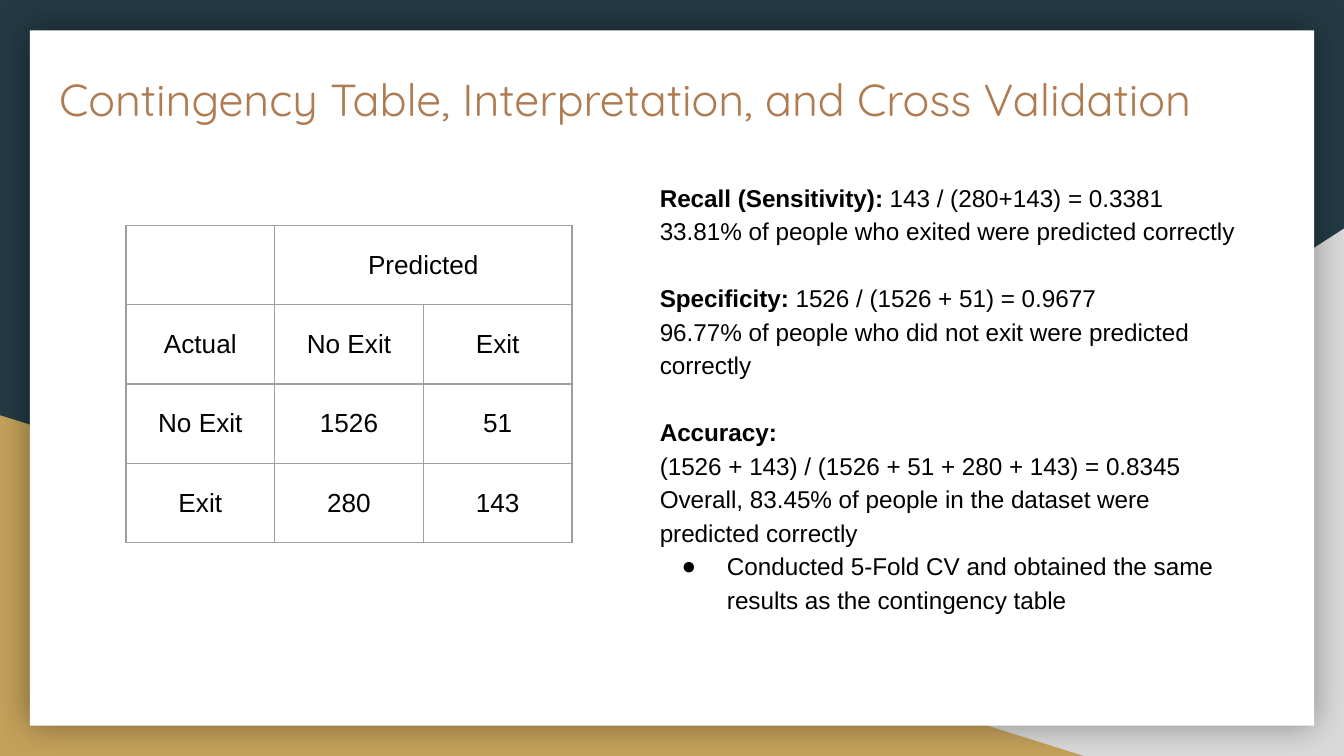
import dataclasses

import lxml.etree
import pptx
import pptx.dml.color
import pptx.enum.shapes
import pptx.enum.text
import pptx.oxml
import pptx.oxml.ns
import pptx.util

Pt = pptx.util.Pt
SHAPES = pptx.enum.shapes.MSO_SHAPE
ALIGN = pptx.enum.text.PP_ALIGN
ANCHOR = pptx.enum.text.MSO_ANCHOR


@dataclasses.dataclass(frozen=True)
class Theme:
    background: str = "233A44"
    gray: str = "D9D9D9"
    gold: str = "C4A15A"
    panel: str = "FFFFFF"
    heading: str = "AF7B51"
    text: str = "000000"
    border: str = "9E9E9E"
    heading_font: str = "Quicksand"
    body_font: str = "Arial"
    heading_size: float = 24
    body_size: float = 13
    table_size: float = 14
    inset: float = 7.2


def rgb(color):
    return pptx.dml.color.RGBColor.from_string(color)


def add_xml(parent, xml):
    namespaces = pptx.oxml.ns.nsdecls("a")
    tag, rest = xml[1:].split(" ", 1)
    parent.append(pptx.oxml.parse_xml(f"<{tag} {namespaces} {rest}"))


class SlideBuilder:
    """Draw styled elements on the current slide, with lengths in points."""

    def __init__(self, theme, slide):
        self.theme = theme
        self.slide = slide
        slide.background.fill.solid()
        slide.background.fill.fore_color.rgb = rgb(theme.background)

    def style_font(self, font, name, size, color):
        font.name, font.size = name, Pt(size)
        font.color.rgb = rgb(color)

    def block(self, kind, box, color, flip=False, glow=False):
        shape = self.slide.shapes.add_shape(kind, *map(Pt, box))
        shape.shadow.inherit = False
        shape.fill.solid()
        shape.fill.fore_color.rgb = rgb(color)
        shape.line.fill.background()
        if flip:
            shape._element.spPr.xfrm.set("flipH", "1")
        if glow:
            effects = shape._element.spPr.find(pptx.oxml.ns.qn("a:effectLst"))
            add_xml(effects, f'<a:outerShdw blurRad="{Pt(18)}" dist="0" algn="ctr" rotWithShape="0">'
                    '<a:srgbClr val="000000"><a:alpha val="40000"/></a:srgbClr></a:outerShdw>')

    def placeholder(self, index, box):
        shape = self.slide.placeholders[index]
        shape.left, shape.top, shape.width, shape.height = map(Pt, box)
        self.slide.shapes._spTree.append(shape._element)
        frame = shape.text_frame
        frame.word_wrap = True
        frame.auto_size = pptx.enum.text.MSO_AUTO_SIZE.NONE
        frame.vertical_anchor = ANCHOR.TOP
        frame.margin_left = frame.margin_right = Pt(self.theme.inset)
        frame.margin_top = frame.margin_bottom = Pt(self.theme.inset)
        return frame

    def title(self, text, box):
        paragraph = self.placeholder(0, box).paragraphs[0]
        paragraph.text = text
        paragraph.alignment = ALIGN.LEFT
        self.style_font(paragraph.font, self.theme.heading_font,
                        self.theme.heading_size, self.theme.heading)

    def body(self, sections, bullet, box, gap):
        frame = self.placeholder(1, box)
        paragraph = frame.paragraphs[0]
        for number, (label, *lines) in enumerate(sections):
            if number:
                paragraph = frame.add_paragraph()
            self.body_paragraph(paragraph, lines[0], label, before=gap if number else 0)
            for line in lines[1:]:
                self.body_paragraph(frame.add_paragraph(), line)
        self.body_paragraph(frame.add_paragraph(), bullet, bulleted=True)

    def body_paragraph(self, paragraph, text, label="", before=0, bulleted=False):
        properties = paragraph._p.get_or_add_pPr()
        properties.set("marL", str(Pt(36 if bulleted else 0)))
        properties.set("indent", str(Pt(-24.25 if bulleted else 0)))
        add_xml(properties, '<a:buChar char="●"/>' if bulleted else "<a:buNone />")
        paragraph.line_spacing = 1.15
        paragraph.space_before, paragraph.space_after = Pt(before), Pt(0)
        self.style_font(paragraph.font, self.theme.body_font,
                        self.theme.body_size, self.theme.text)
        if label:
            run = paragraph.add_run()
            run.text, run.font.bold = label, True
        if text:
            paragraph.add_run().text = text

    def table(self, rows, box, merged):
        table = self.slide.shapes.add_table(len(rows), len(rows[0]), *map(Pt, box)).table
        table.first_row = table.horz_banding = False
        for row_index, row in enumerate(rows):
            for column_index, text in enumerate(row):
                self.cell(table.cell(row_index, column_index), text)
        first, last = merged
        table.cell(*first).merge(table.cell(*last))

    def cell(self, cell, text):
        cell.vertical_anchor = ANCHOR.MIDDLE
        cell.margin_left = cell.margin_right = Pt(self.theme.inset)
        cell.margin_top = cell.margin_bottom = Pt(self.theme.inset)
        properties = cell._tc.get_or_add_tcPr()
        for side in "LRTB":
            add_xml(properties, f'<a:ln{side} w="{Pt(0.75)}"><a:solidFill>'
                    f'<a:srgbClr val="{self.theme.border}"/></a:solidFill></a:ln{side}>')
        cell.fill.background()
        paragraph = cell.text_frame.paragraphs[0]
        paragraph.text = text
        paragraph.alignment = ALIGN.CENTER
        self.style_font(paragraph.font, self.theme.body_font,
                        self.theme.table_size, self.theme.text)


def main():
    theme = Theme()
    presentation = pptx.Presentation()
    presentation.slide_width, presentation.slide_height = Pt(720), Pt(405)
    slide = presentation.slides.add_slide(presentation.slide_layouts[1])
    builder = SlideBuilder(theme, slide)

    builder.block(SHAPES.RIGHT_TRIANGLE, (282, 122.5, 438, 282.5), theme.gray, flip=True)
    builder.block(SHAPES.RIGHT_TRIANGLE, (0, 222.5, 580.5, 182.5), theme.gold)
    builder.block(SHAPES.RECTANGLE, (16, 16.25, 688, 372.5), theme.panel, glow=True)

    builder.title("Contingency Table, Interpretation, and Cross Validation",
                  (24.5, 31, 671, 49))
    sections = [
        ("Recall (Sensitivity):", " 143 / (280+143) = 0.3381",
         "33.81% of people who exited were predicted correctly"),
        ("Specificity:", " 1526 / (1526 + 51) = 0.9677",
         "96.77% of people who did not exit were predicted correctly"),
        ("Accuracy:", "", "(1526 + 143) / (1526 + 51 + 280 + 143) = 0.8345",
         "Overall, 83.45% of people in the dataset were predicted correctly"),
    ]
    builder.body(sections,
                 "Conducted 5-Fold CV and obtained the same results as the contingency table",
                 (346.25, 88.5, 332.5, 235.5), gap=18)
    rows = [
        ("", "Predicted", ""),
        ("Actual", "No Exit", "Exit"),
        ("No Exit", "1526", "51"),
        ("Exit", "280", "143"),
    ]
    builder.table(rows, (67.5, 120.75, 239, 170), merged=((0, 1), (0, 2)))
    presentation.save("out.pptx")


if __name__ == "__main__":
    main()
